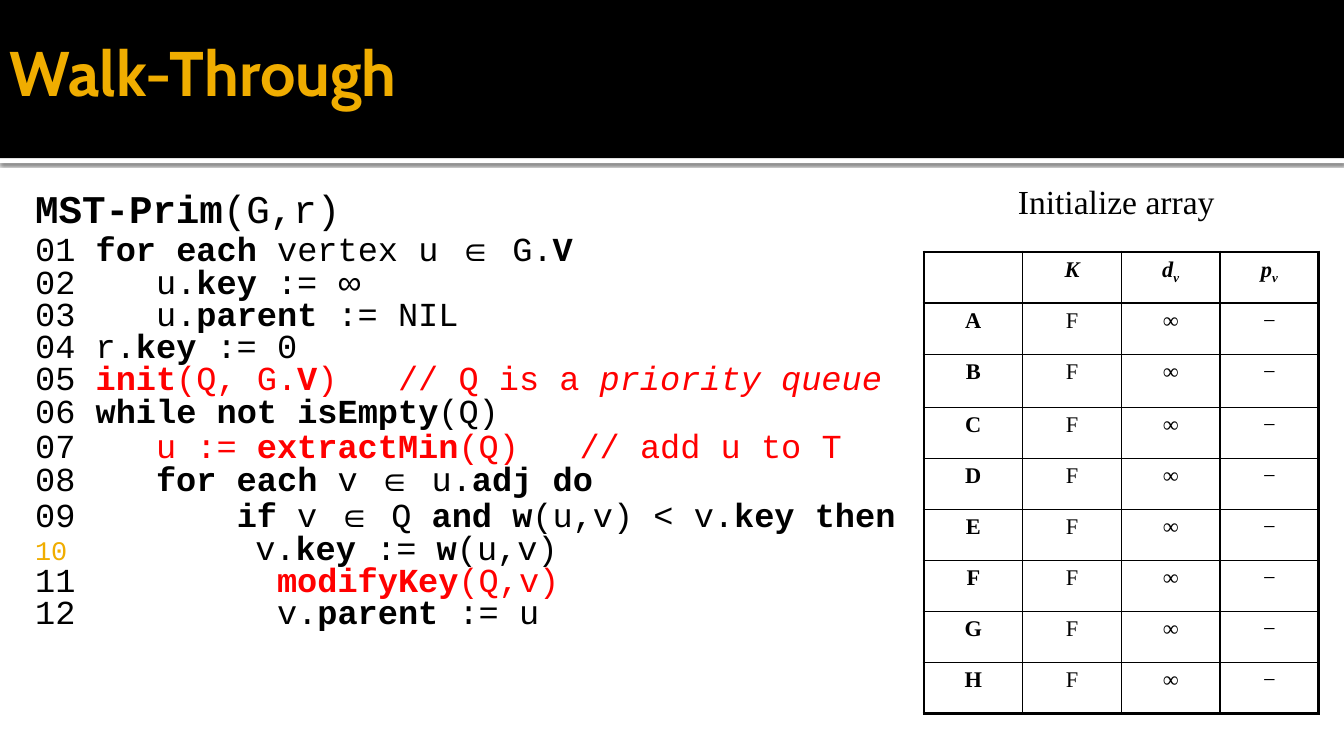
from typing import NamedTuple

from lxml import etree
from pptx import Presentation
from pptx import util as u
from pptx.dml.color import RGBColor
from pptx.enum import shapes, text
from pptx.oxml import ns

BLACK, WHITE, RED, GOLD = "000000", "FFFFFF", "FF0000", "F0AD00"
SERIF, MONO, SYMBOL = "Times New Roman", "Courier New", "Arial"
STEP_TABS = (18, 34, 51, 68, 85, 102, 119, 136)
HANG = 42
THIN, THICK = 1, 2.25


class Run(NamedTuple):
    text: str
    style: str = ""  # b bold, i italic, r red, s symbol font


class Line(NamedTuple):
    runs: list[Run]
    spacing: float = 0.8
    size: float = 24
    number: int | None = None


class Box(NamedTuple):
    left: float
    top: float
    width: float
    height: float


CODE = [
    Line([Run("MST-Prim", "b"), Run("(G,r)")], 0.9, 28),
    Line([Run("01 "), Run("for each", "b"), Run(" vertex u "), Run("∈", "s"),
          Run(" G."), Run("V", "b")], 0.9),
    Line([Run("02    u."), Run("key ", "b"), Run(":= "), Run("∞", "s")]),
    Line([Run("03    u."), Run("parent", "b"), Run(" := NIL")]),
    Line([Run("04 r."), Run("key", "b"), Run(" := 0")]),
    Line([Run("05 "), Run("init", "br"), Run("(Q, G.", "r"), Run("V", "br"),
          Run(")   // Q is a ", "r"), Run("priority queue", "ir")]),
    Line([Run("06 "), Run("while not isEmpty", "b"), Run("(Q)")]),
    Line([Run("07    "), Run("u := ", "r"), Run("extractMin", "br"),
          Run("(Q)   // add u to T", "r")], 0.9),
    Line([Run("08    "), Run("for each", "b"), Run(" v "), Run("∈", "s"),
          Run(" u."), Run("adj do", "b")]),
    Line([Run("09        "), Run("if", "b"), Run(" v "), Run("∈", "s"), Run(" Q "),
          Run("and w", "b"), Run("(u,v) < v."), Run("key then", "b")], 0.9),
    Line([Run("        v."), Run("key", "b"), Run(" := "), Run("w", "b"),
          Run("(u,v)")], number=10),
    Line([Run("11          "), Run("modifyKey", "br"), Run("(Q,v)", "r")]),
    Line([Run("12          v."), Run("parent", "b"), Run(" := u")]),
]
HEADERS = ["", "K", "dv", "pv"]
VERTICES = "ABCDEFGH"
START_VALUES = ["F", "∞", "−"]


def rgb(value: str) -> RGBColor:
    return RGBColor.from_string(value)


def add_xml(parent, tag: str, **attrs):
    return etree.SubElement(parent, ns.qn(tag), {k: str(v) for k, v in attrs.items()})


def add_color(parent, color: str):
    fill = add_xml(parent, "a:solidFill")
    return add_xml(fill, "a:srgbClr", val=color)


def add_run(p, words: str, color: str = BLACK, **font):
    r = p.add_run()
    r.text = words
    for name, value in font.items():
        setattr(r.font, name, value)
    r.font.color.rgb = rgb(color)
    return r


def add_bar(s, box: Box, color: str):
    sp = s.shapes.add_shape(shapes.MSO_SHAPE.RECTANGLE, *map(u.Pt, box))
    sp.shadow.inherit = False
    sp.fill.solid()
    sp.fill.fore_color.rgb = rgb(color)
    sp.line.fill.background()
    return sp


def add_shadow(sp) -> None:
    effects = sp._element.spPr.find(ns.qn("a:effectLst"))
    shadow = add_xml(effects, "a:outerShdw", blurRad=u.Pt(2.5), dist=u.Pt(0.8),
                     dir=90 * 60000, algn="tl", rotWithShape=0)
    add_xml(add_xml(shadow, "a:srgbClr", val=BLACK), "a:alpha", val=60000)


def add_text_box(s, box: Box, **frame):
    tf = s.shapes.add_textbox(*map(u.Pt, box)).text_frame
    tf.word_wrap = True
    for name, value in frame.items():
        setattr(tf, name, value)
    return tf


def add_code_line(p, line: Line) -> None:
    pPr = p._p.get_or_add_pPr()
    pPr.set("marL", str(u.Pt(HANG)))
    pPr.set("indent", str(-u.Pt(HANG)))
    if line.number is not None:
        add_xml(add_xml(pPr, "a:buClr"), "a:srgbClr", val=GOLD)
        add_xml(pPr, "a:buSzPct", val=80000)
        add_xml(pPr, "a:buFont", typeface=MONO)
        add_xml(pPr, "a:buAutoNum", type="arabicPlain", startAt=line.number)
    tabs = add_xml(pPr, "a:tabLst")
    for stop in STEP_TABS:
        add_xml(tabs, "a:tab", pos=u.Pt(stop), algn="l")
    p.alignment = text.PP_ALIGN.JUSTIFY
    p.line_spacing = line.spacing
    for run in line.runs:
        add_run(p, run.text, RED if "r" in run.style else BLACK,
                name=SYMBOL if "s" in run.style else MONO, size=u.Pt(line.size),
                bold="b" in run.style, italic="i" in run.style)


def set_borders(cell, widths: dict[str, float]) -> None:
    tcPr = cell._tc.get_or_add_tcPr()
    for side, width in widths.items():
        ln = add_xml(tcPr, f"a:ln{side}", w=u.Pt(width))
        add_color(ln, BLACK)
    cell.fill.background()


def add_vertex_table(s, box: Box) -> None:
    rows, cols = len(VERTICES) + 1, len(HEADERS)
    table = s.shapes.add_table(rows, cols, *map(u.Pt, box)).table
    table.first_row = table.horz_banding = False
    for column in table.columns:
        column.width = u.Pt(box.width / cols)
    for i, row in enumerate(table.rows):
        row.height = u.Pt(38 if i == 2 else 36.5)
    grid = [HEADERS] + [[vertex, *START_VALUES] for vertex in VERTICES]
    for i, values in enumerate(grid):
        for j, value in enumerate(values):
            cell = table.cell(i, j)
            edges = {"L": j == 0, "R": j == cols - 1, "T": i == 0, "B": i == rows - 1}
            set_borders(cell, {k: THICK if edge else THIN for k, edge in edges.items()})
            p = cell.text_frame.paragraphs[0]
            p.alignment = text.PP_ALIGN.CENTER
            font = dict(name=SERIF, size=u.Pt(16), bold=i == 0 or j == 0, italic=i == 0)
            if value:
                add_run(p, value[0], **font)
            if value[1:]:
                r = add_run(p, value[1:], **font)
                r.font._element.set("baseline", "-25000")


def main() -> None:
    prs = Presentation()
    prs.slide_width, prs.slide_height = u.Pt(960), u.Pt(540)
    s = prs.slides.add_slide(prs.slide_layouts[6])
    s.background.fill.solid()
    s.background.fill.fore_color.rgb = rgb(WHITE)

    add_shadow(add_bar(s, Box(0, 113, 960, 3.6), WHITE))
    add_bar(s, Box(0, 0, 960, 113), BLACK)

    title = add_text_box(s, Box(0, 6, 786, 90), margin_right=u.Pt(3.6),
                         vertical_anchor=text.MSO_ANCHOR.MIDDLE)
    add_run(title.paragraphs[0], "Walk-Through", GOLD, name="Cabin", size=u.Pt(45), bold=True)

    caption = add_text_box(s, Box(720, 126, 214.5, 36))
    add_run(caption.paragraphs[0], "Initialize array", name=SERIF, size=u.Pt(24))

    add_vertex_table(s, Box(660, 180, 282, 330))

    code = add_text_box(s, Box(18, 132, 636, 384))
    for i, line in enumerate(CODE):
        add_code_line(code.add_paragraph() if i else code.paragraphs[0], line)

    prs.save("out.pptx")


if __name__ == "__main__":
    main()
